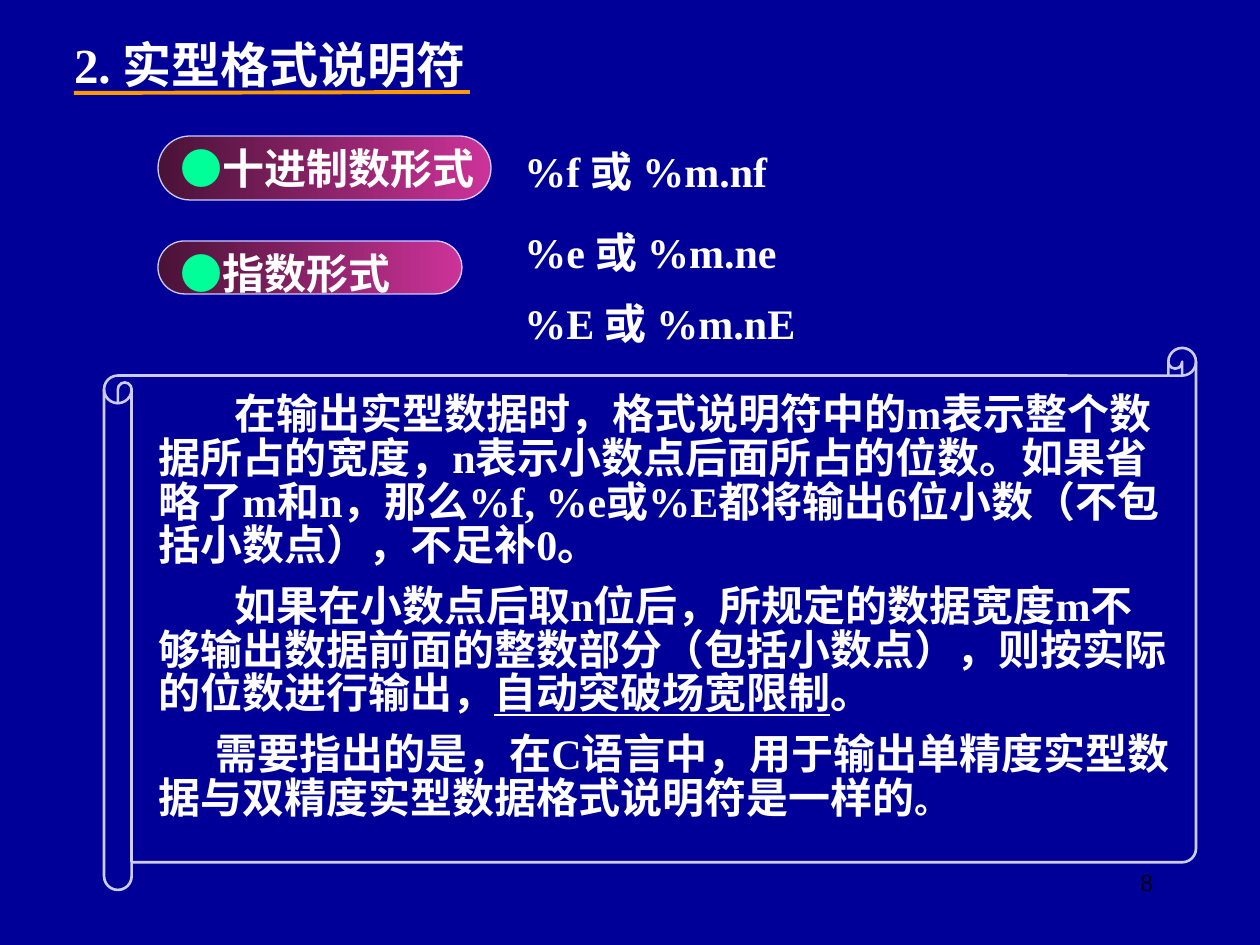
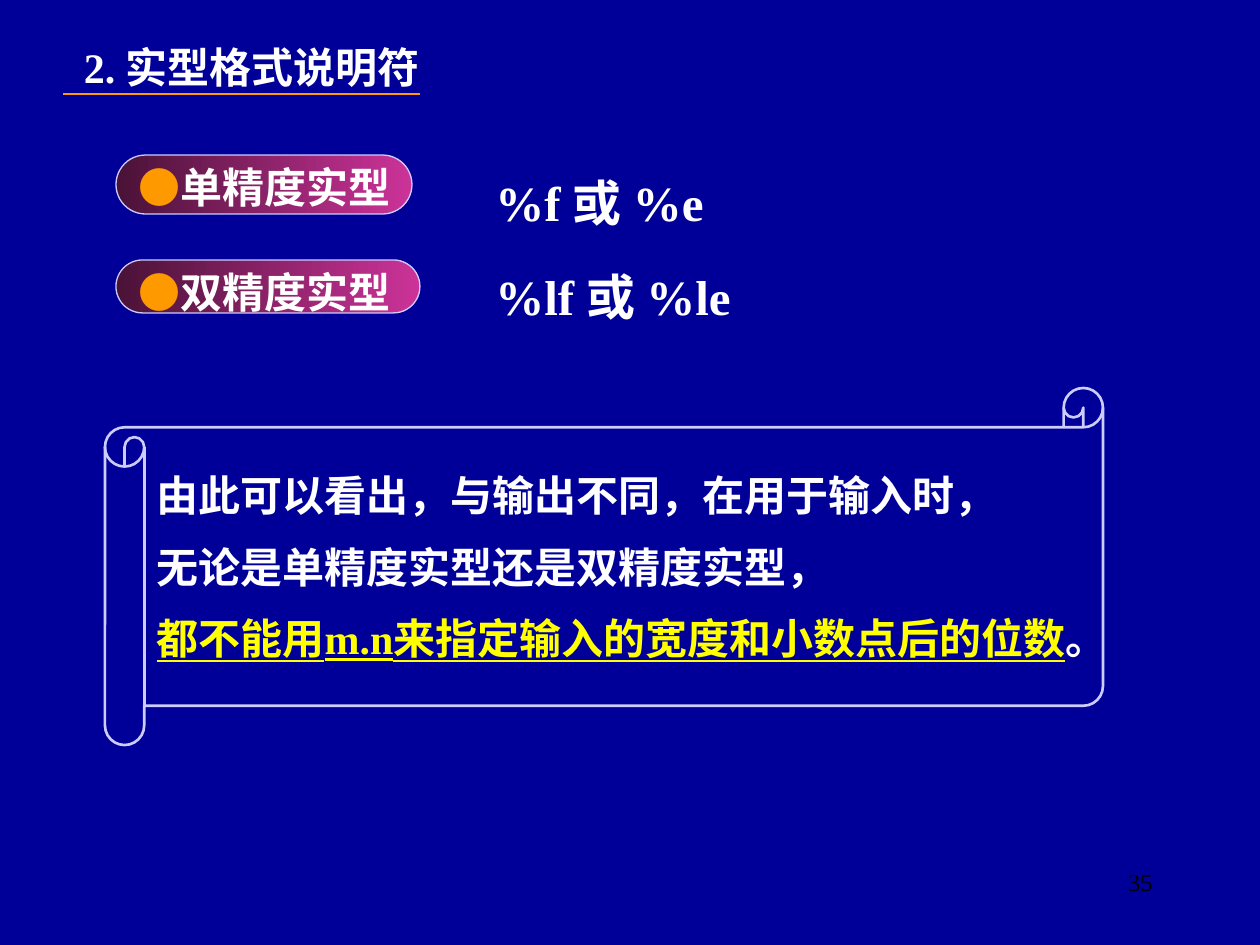
from lxml import etree
from pptx import Presentation, util as u
from pptx.dml.color import RGBColor
from pptx.enum import shapes, text
from pptx.oxml.ns import qn

# Shared look
FACE = "Times New Roman"
WHITE, EDGE, GOLD, MINT, LEMON = "FFFFFF", "CCCCFF", "FF9900", "00FF99", "FFFF00"
rgb = RGBColor.from_string
GAP = u.Pt(12)
TITLE = "2. 实型格式说明符"


def px(*nums):
    return [u.Emu(round(n * 914400 / 126)) for n in nums]


def write(frame, paras, size=24, hue=WHITE, bold=True, gap=GAP):
    """Fill a frame; each paragraph is a string or a list of (text, hue, font settings)."""
    frame.word_wrap = True
    for i, runs in enumerate(paras):
        par = frame.paragraphs[0] if i == 0 else frame.add_paragraph()
        par.alignment = text.PP_ALIGN.LEFT
        if i:
            par.space_before = gap
        font = par.font
        font.name, font.size, font.bold = FACE, u.Pt(size), bold
        font.color.rgb = rgb(hue)
        if isinstance(runs, str):
            runs = [(runs, hue, {})]
        for words, tint, extra in runs:
            run = par.add_run()
            run.text = words
            if tint != hue:
                run.font.color.rgb = rgb(tint)
            for key, val in extra.items():
                setattr(run.font, key, val)


# Content of the two slides; boxes are (left, top, width, height) in px
pages = [
    dict(
        num="8", size=28, title=(62, 28, 474, 72), inset=12,
        rule=(74, 93, 470, 92), weight=2.25, dot=MINT,
        pills=[("十进制数形式", (158, 136, 333, 64), 322),
               ("指数形式", (158, 241, 304, 53), 284)],
        codes=[((512, 139, 620, 63), ["%f 或 %m.nf"]),
               ((512, 220, 588, 140), ["%e 或 %m.ne", "%E 或 %m.nE"])],
        code_size=24, scroll=(104, 348, 1092, 542), curl=0.051),
    dict(
        num="35", size=24, title=(84, 35, 368, 63), inset=0,
        rule=(63, 94, 420, 94), weight=1.5, dot=GOLD,
        pills=[("单精度实型", (116, 155, 296, 59), 357),
               ("双精度实型", (116, 260, 304, 53), 284)],
        codes=[((483, 166, 346, 72), ["%f 或 %e"]),
               ((483, 260, 357, 72), ["%lf 或 %le"])],
        code_size=28, scroll=(105, 388, 998, 357), curl=0.11),
]
notes = [
    "在输出实型数据时，格式说明符中的m表示整个数据所占的宽度，n表示小数点后面所占的位数。"
    "如果省略了m和n，那么%f, %e或%E都将输出6位小数（不包括小数点），不足补0。",
    [("如果在小数点后取n位后，所规定的数据宽度m不够输出数据前面的整数部分"
      "（包括小数点），则按实际的位数进行输出，", WHITE, {}),
     ("自动突破场宽限制", WHITE, {"underline": True}),
     ("。", WHITE, {})],
    [("需要指出的是，在C语言中，用于输出单精度实型数据与双精度实型数据格式说明符是一样的",
      WHITE, {}),
     ("。", WHITE, {"size": u.Pt(20)})],
]
points = [
    "由此可以看出，与输出不同，在用于输入时，",
    "无论是单精度实型还是双精度实型，",
    [("都不能用m.n来指定输入的宽度和小数点后的位数", LEMON, {"underline": True}),
     ("。", WHITE, {})],
]

deck = Presentation()
deck.slide_width, deck.slide_height = u.Inches(10), u.Inches(7.5)
scrolls = []

for page in pages:
    slide = deck.slides.add_slide(deck.slide_layouts[6])
    back = slide.background.fill
    back.solid()
    back.fore_color.rgb = rgb("000099")
    draw = slide.shapes

    # Title and its rule
    frame = draw.add_textbox(*px(*page["title"])).text_frame
    frame.margin_left = frame.margin_right = px(page["inset"])[0]
    write(frame, [TITLE], page["size"])
    rule = draw.add_connector(shapes.MSO_CONNECTOR.STRAIGHT, *px(*page["rule"]))
    rule.line.color.rgb = rgb(GOLD)
    rule.line.width = u.Pt(page["weight"])
    etree.SubElement(rule.element.spPr, qn("a:effectLst"))

    # Gradient pills with dotted labels
    for label, spot, wide in page["pills"]:
        pill = draw.add_shape(shapes.MSO_SHAPE.ROUNDED_RECTANGLE, *px(*spot))
        pill.adjustments[0] = 0.5
        pill.shadow.inherit = False
        pill.fill.gradient()
        pill.fill.gradient_angle = 0
        for stop, tint in zip(pill.fill.gradient_stops, ("4A1237", "CC3399")):
            stop.color.rgb = rgb(tint)
        pill.line.color.rgb = rgb(EDGE)
        pill.line.width = u.Pt(0.75)
        box = draw.add_textbox(*px(spot[0] + 10, spot[1], wide, 63))
        write(box.text_frame, [[("●", page["dot"], {"bold": False}), (label, WHITE, {})]])

    # Format codes
    for spot, lines in page["codes"]:
        write(draw.add_textbox(*px(*spot)).text_frame, lines, page["code_size"])

    # Scroll
    scroll = draw.add_shape(shapes.MSO_SHAPE.HORIZONTAL_SCROLL, *px(*page["scroll"]))
    scroll.adjustments[0] = page["curl"]
    scroll.shadow.inherit = False
    scroll.fill.background()
    scroll.line.color.rgb = rgb(EDGE)
    scroll.line.width = u.Pt(1.5)
    scrolls.append(scroll)

    # Page number
    frame = draw.add_textbox(*px(903, 861, 262, 63)).text_frame
    write(frame, [page["num"]], 14, "000000", False)
    frame.paragraphs[0].alignment = text.PP_ALIGN.RIGHT

# Explanation over the first scroll
frame = deck.slides[0].shapes.add_textbox(*px(146, 388, 1040, 451)).text_frame
write(frame, notes, gap=u.Pt(9.6))
for par, indent in zip(frame.paragraphs, (76, 76, 57)):
    par.line_spacing = u.Pt(25)
    par._p.get_or_add_pPr().set("indent", str(px(indent)[0]))

# Conclusion inside the second scroll
frame = scrolls[1].text_frame
write(frame, points)
frame.word_wrap = False
frame.vertical_anchor = text.MSO_ANCHOR.MIDDLE

deck.save("out.pptx")
